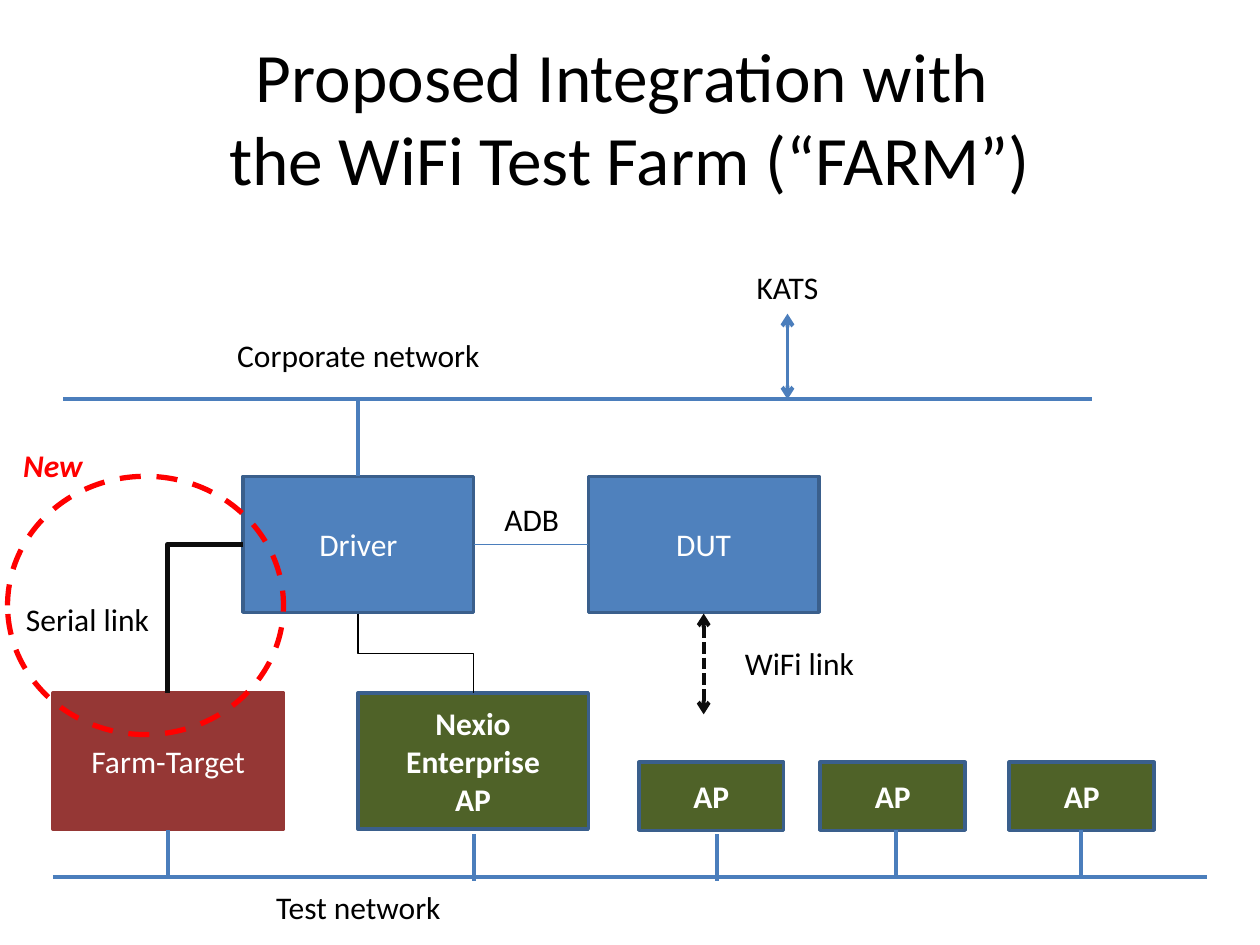
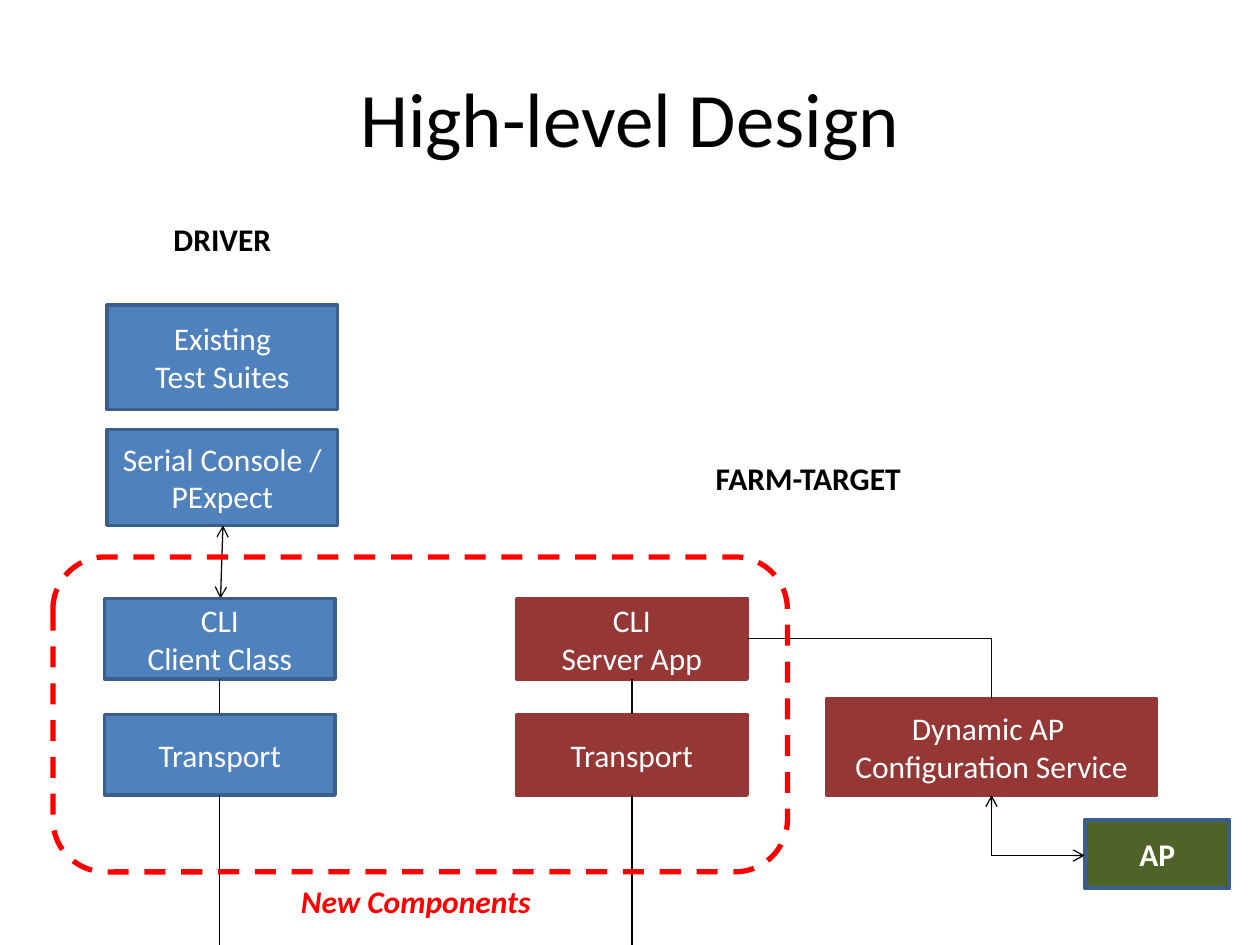
from lxml import etree
from pptx import Presentation
from pptx import util as u
from pptx.dml.color import RGBColor
from pptx.enum import dml, shapes, text
from pptx.oxml.ns import qn

# Shared style
FONT = "Calibri"
BLACK, WHITE, RED, INK = "000000", "FFFFFF", "FF0000", "0D0D0D"
BLUE, BLUE_EDGE, BUS = "4F81BD", "3A5F8C", "4B7EBC"
MAROON, GREEN = "953735", "4F6228"
DRIVER_STYLE = dict(fill=BLUE, edge=BLUE_EDGE)
TARGET_STYLE = dict(fill=MAROON, edge=MAROON)
AP_STYLE = dict(fill=GREEN, edge=BLUE_EDGE, bold=True)
BOX_W, BOX_H = 1.83, 1.08
AP_W, AP_H = 1.15, 0.54
TITLE_BOX = (0.5, 0.3, 9, 1.25)


def rgb(value):
    return RGBColor.from_string(value)


def inches(*values):
    return [u.Inches(v) for v in values]


def write(tf, content, size=18, color=BLACK, bold=False, italic=False,
          align=text.PP_ALIGN.CENTER, anchor=text.MSO_ANCHOR.TOP):
    """One paragraph per newline; a vertical tab is a line break."""
    tf.word_wrap = True
    tf.vertical_anchor = anchor
    for i, line in enumerate(content.split("\n")):
        p = tf.paragraphs[0] if i == 0 else tf.add_paragraph()
        p.text = line
        p.alignment = align
        for r in p.runs:
            r.font.name, r.font.size = FONT, u.Pt(size)
            r.font.bold, r.font.italic = bold, italic
            r.font.color.rgb = rgb(color)


def label(s, content, x, y, w, **fmt):
    tf = s.shapes.add_textbox(*inches(x, y, w, 0.4)).text_frame
    write(tf, content, **fmt)
    tf.auto_size = text.MSO_AUTO_SIZE.SHAPE_TO_FIT_TEXT


def title(s, content, size):
    tf = s.shapes.add_textbox(*inches(*TITLE_BOX)).text_frame
    write(tf, content, size=size, anchor=text.MSO_ANCHOR.MIDDLE)


def block(s, content, x, y, w=BOX_W, h=BOX_H, fill=BLUE, edge=BLUE_EDGE, bold=False):
    sp = s.shapes.add_shape(shapes.MSO_SHAPE.RECTANGLE, *inches(x, y, w, h))
    sp.shadow.inherit = False
    sp.fill.solid()
    sp.fill.fore_color.rgb = rgb(fill)
    sp.line.color.rgb = rgb(edge)
    sp.line.width = u.Pt(2)
    write(sp.text_frame, content, color=WHITE, bold=bold, anchor=text.MSO_ANCHOR.MIDDLE)


def highlight(s, kind, x, y, w, h):
    sp = s.shapes.add_shape(kind, *inches(x, y, w, h))
    sp.shadow.inherit = False
    sp.fill.background()
    sp.line.color.rgb = rgb(RED)
    sp.line.width = u.Pt(3)
    sp.line.dash_style = dml.MSO_LINE.DASH


def link(s, x1, y1, x2, y2, color=BUS, width=2.25, arrows=False, dash=None,
         kind=shapes.MSO_CONNECTOR.STRAIGHT):
    c = s.shapes.add_connector(kind, *inches(x1, y1, x2, y2))
    c.line.color.rgb = rgb(color)
    c.line.width = u.Pt(width)
    if dash:
        c.line.dash_style = dash
    if arrows:
        for end in ("a:headEnd", "a:tailEnd"):
            etree.SubElement(c.line._get_or_add_ln(), qn(end), type="arrow")
    etree.SubElement(c._element.spPr, qn("a:effectLst"))
    return c


def elbow(s, x1, y1, x2, y2, down_first=False, bends=1, **fmt):
    """Bent link; one that first runs down is a quarter turn of a mirrored one."""
    if down_first:
        cx, cy = (x1 + x2) / 2, (y1 + y2) / 2
        dx, dy = (x2 - x1) / 2, (y2 - y1) / 2
        x1, x2, y1, y2 = cx + dy, cx - dy, cy - dx, cy + dx
    c = link(s, x1, y1, x2, y2, kind=shapes.MSO_CONNECTOR.ELBOW, **fmt)
    props = c._element.spPr
    props.find(qn("a:prstGeom")).set("prst", f"bentConnector{bends + 1}")
    if down_first:
        props.find(qn("a:xfrm")).set("rot", str(270 * 60000))


# Slide 1 regions
def corporate_network(s, x, y, w):
    link(s, x, y, x + w, y)
    label(s, "Corporate network", x + 1.18, y - 0.55, 2.33)
    label(s, "KATS", x + 5.09, y - 1.09, 1.32)
    link(s, x + 5.75, y, x + 5.75, y - 0.68, arrows=True)
    link(s, x + 2.34, y + 0.61, x + 2.34, y)


def test_devices(s, x, y):
    dut = x + 2.74
    block(s, "Driver", x, y, **DRIVER_STYLE)
    block(s, "DUT", dut, y, **DRIVER_STYLE)
    link(s, x + BOX_W, y + BOX_H / 2, dut, y + BOX_H / 2, width=0.75)
    label(s, "ADB", x + BOX_W, y + 0.14, 0.92)
    # Wireless link below the device
    mid = dut + BOX_W / 2
    link(s, mid, y + 1.09, mid, y + 1.89, color=INK, arrows=True,
         dash=dml.MSO_LINE.SQUARE_DOT)
    label(s, "WiFi link", mid, y + 1.28, 1.52)


def test_network(s, x, y, w):
    top, bottom = y - 1.46, y - 0.37
    block(s, "Farm-Target", x, top, **TARGET_STYLE)
    block(s, "Nexio\nEnterprise\nAP", x + 2.42, top, **AP_STYLE)
    for left in (4.65, 6.09, 7.59):
        block(s, "AP", x + left, bottom - AP_H, AP_W, AP_H, **AP_STYLE)
    # Bus and its drops
    link(s, x, y, x + w, y)
    for dx, shift in ((0.91, 0), (3.34, 0.03), (5.27, 0.03), (6.69, 0), (8.16, 0)):
        link(s, x + dx, bottom + shift, x + dx, y + shift)
    label(s, "Test network", x + 1.26, y + 0.04, 2.33)


def new_serial_link(s, x, y):
    elbow(s, x + 1.87, y + 0.54, x + 1.27, y + 1.72, color=INK, width=3)
    label(s, "Serial link", x, y + 0.93, 1.27)
    highlight(s, shapes.MSO_SHAPE.OVAL, x, y, 2.19, 2.05)
    label(s, "New", x - 0.06, y - 0.29, 0.84, color=RED, bold=True, italic=True)


def integration_slide(s):
    title(s, "Proposed Integration with \vthe WiFi Test Farm (“FARM”)", 39.6)
    test_devices(s, 1.93, 3.78)
    test_network(s, 0.42, 6.96, 9.16)
    corporate_network(s, 0.5, 3.17, 8.17)
    elbow(s, 2.84, 4.87, 3.76, 5.5, down_first=True, bends=2, color=BLACK, width=0.75)
    new_serial_link(s, 0.06, 3.78)


# Slide 2 regions
def driver_suites(s, x, y):
    label(s, "DRIVER", x, y, BOX_W, bold=True)
    block(s, "Existing\nTest Suites", x, y + 0.72, h=0.83, **DRIVER_STYLE)
    block(s, "Serial Console /\nPExpect", x, y + 1.71, h=0.76, **DRIVER_STYLE)
    link(s, x + 0.92, y + 2.47, x + 0.9, y + 3.05, color=INK, width=0.75, arrows=True)


def cli_stack(s, x, y, name, style):
    h, step, mid = 0.64, 0.92, x + BOX_W / 2
    block(s, name, x, y, h=h, **style)
    block(s, "Transport", x, y + step, h=h, **style)
    link(s, mid, y + h, mid, y + step, color=INK, width=0.75)
    # Transport line down to the slide edge
    link(s, mid, y + step + h, mid, 7.5, color=BLACK, width=0.75)


def ap_service(s, x, y):
    w, h, mid = 2.62, 0.76, x + 1.31
    block(s, "Dynamic AP \nConfiguration Service", x, y, w, h, **TARGET_STYLE)
    block(s, "AP", x + 2.05, y + 0.96, AP_W, AP_H, **AP_STYLE)
    elbow(s, mid, y + h, x + 2.05, y + 1.24, down_first=True,
          color=BLACK, width=0.75, arrows=True)
    elbow(s, x - 0.63, y - 0.48, mid, y, color=INK, width=0.75)


def design_slide(s):
    title(s, "High-level Design", 44)
    driver_suites(s, 0.85, 1.7)
    cli_stack(s, 0.83, 4.75, "CLI\nClient Class", DRIVER_STYLE)
    cli_stack(s, 4.1, 4.75, "CLI\nServer App", TARGET_STYLE)
    ap_service(s, 6.56, 5.55)
    label(s, "FARM-TARGET", 5.5, 3.59, BOX_W, bold=True)
    # Frame around the new parts
    highlight(s, shapes.MSO_SHAPE.ROUNDED_RECTANGLE, 0.42, 4.42, 5.83, 2.5)
    label(s, "New Components", 2.29, 6.95, 2.18, color=RED, bold=True, italic=True,
          align=text.PP_ALIGN.LEFT)


prs = Presentation()
prs.slide_width, prs.slide_height = inches(10, 7.5)
for build in (integration_slide, design_slide):
    build(prs.slides.add_slide(prs.slide_layouts[6]))
prs.save("out.pptx")
